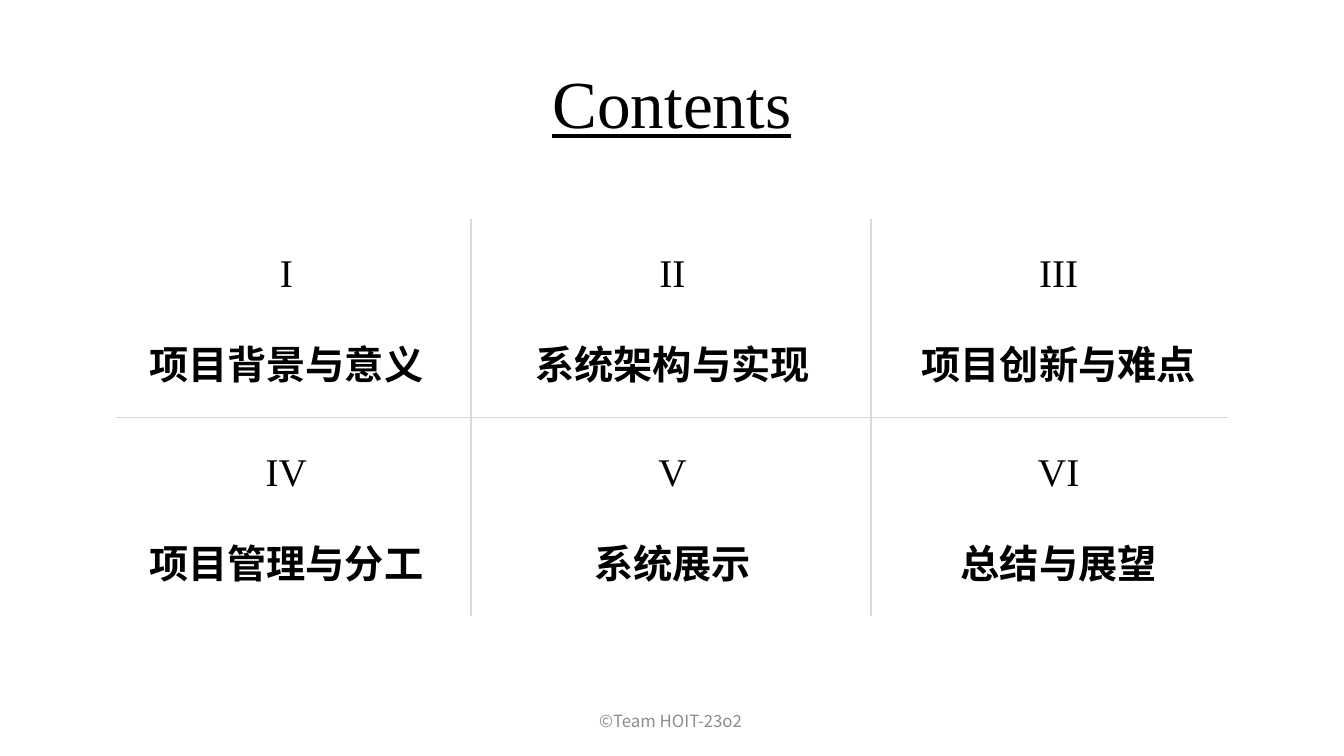
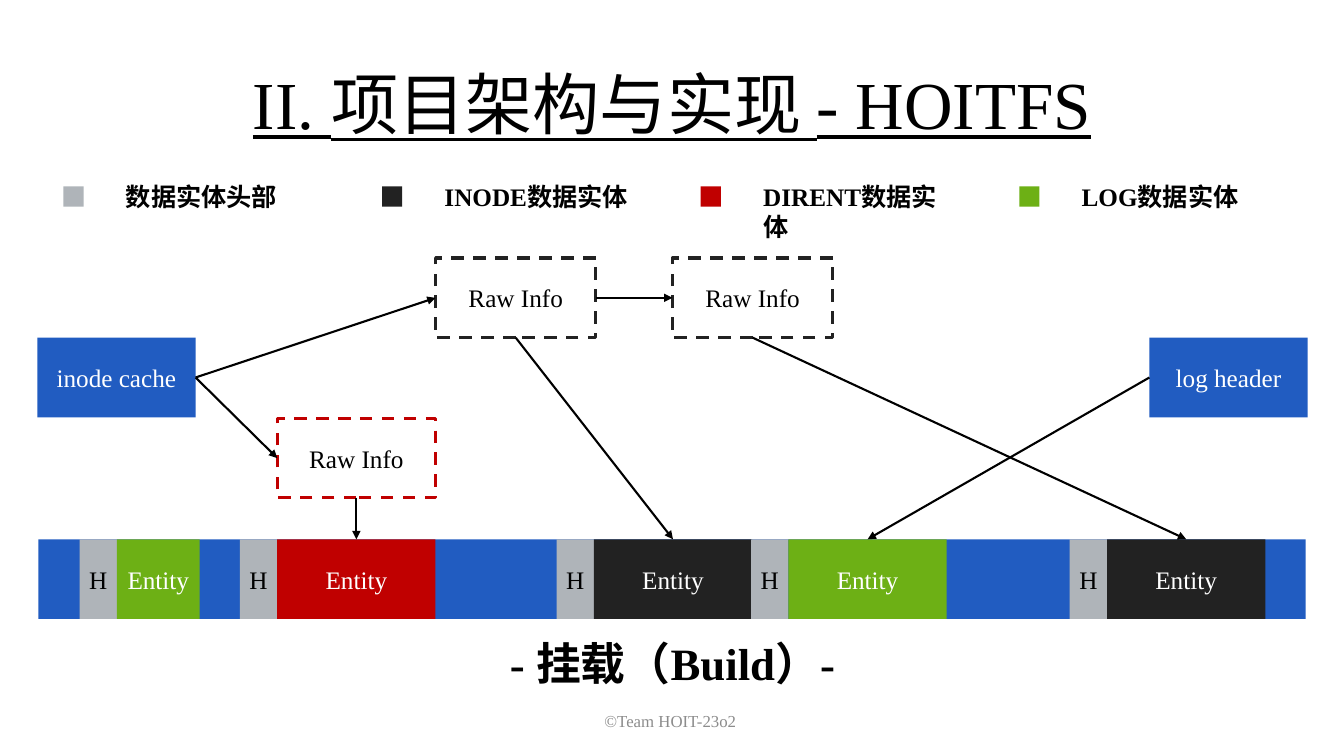
"""Build the contents slide and the HOITFS mount diagram slide."""
from lxml.etree import SubElement
from pptx import Presentation
from pptx.dml.color import RGBColor
from pptx.enum.dml import MSO_LINE_DASH_STYLE as Dash
from pptx.enum.shapes import MSO_CONNECTOR as Connector, MSO_SHAPE as Shape
from pptx.enum.text import MSO_ANCHOR as Anchor, MSO_AUTO_SIZE as AutoSize, PP_ALIGN as Align
from pptx.oxml.ns import qn
from pptx.util import Inches, Pt

BLACK = RGBColor(0x00, 0x00, 0x00)
WHITE = RGBColor(0xFF, 0xFF, 0xFF)
BLUE = RGBColor(0x21, 0x5C, 0xC1)
RED = RGBColor(0xC0, 0x00, 0x00)
GREEN = RGBColor(0x6D, 0xB0, 0x15)
DARK = RGBColor(0x22, 0x22, 0x22)
SILVER = RGBColor(0xAF, 0xB4, 0xB9)
FOOTER_GRAY = RGBColor(0x8C, 0x8C, 0x8C)
RULE_GRAY = RGBColor(0xD9, 0xD9, 0xD9)

SERIF = "Times New Roman"
SANS = "Noto Sans CJK SC"

TITLE = {"size": Pt(48), "underline": True, "bold": False}
FOOTER = {"size": Pt(12)}
NUMERAL = {"size": Pt(28)}
SECTION = {"size": Pt(28), "bold": True}
LEGEND = {"size": Pt(18), "bold": True}
CAPTION = {"size": Pt(32), "bold": True}
LABEL = {"size": Pt(18)}

FOOTER_TEXT = "©Team HOIT-23o2 "
SECTIONS = [
    ("I", "项目背景与意义"), ("II", "系统架构与实现"), ("III", "项目创新与难点"),
    ("IV", "项目管理与分工"), ("V", "系统展示"), ("VI", "总结与展望"),
]
CONTENTS_RULES = [
    ((1.15, 4.14), (12.18, 4.14)),
    ((4.67, 2.17), (4.67, 6.11)),
    ((8.64, 2.17), (8.64, 6.11)),
]

LEGEND_ITEMS = [
    (SILVER, "数据实体头部"), (DARK, "INODE数据实体"),
    (RED, "DIRENT数据实体"), (GREEN, "LOG数据实体"),
]
BOX_WIDTH, BOX_HEIGHT = 1.57, 0.79
HEADER_WIDTH = 0.37
STRIP_TOP = 5.35
ENTITIES = {
    "log short": (0.79, 0.82, GREEN),
    "dirent": (2.38, BOX_WIDTH, RED),
    "inode first": (5.52, BOX_WIDTH, DARK),
    "log": (7.45, BOX_WIDTH, GREEN),
    "inode second": (10.61, BOX_WIDTH, DARK),
}
CACHES = {"inode cache": (0.37, 3.35), "log header": (11.4, 3.35)}
RAW_INFOS = {
    "raw dirent": (2.75, 4.15, BOX_WIDTH, RED),
    "raw first": (4.32, 2.56, 1.59, DARK),
    "raw second": (6.67, 2.56, 1.59, DARK),
}
TOP, LEFT, BOTTOM, RIGHT = range(4)
ARROWS = [
    ("raw dirent", BOTTOM, "dirent", TOP),
    ("inode cache", RIGHT, "raw dirent", LEFT),
    ("inode cache", RIGHT, "raw first", LEFT),
    ("raw first", BOTTOM, "inode first", TOP),
    ("raw second", BOTTOM, "inode second", TOP),
    ("raw first", RIGHT, "raw second", LEFT),
    ("log header", LEFT, "log", TOP),
]


def write(paragraph, text, style, color=BLACK, font=SERIF, align=Align.CENTER):
    paragraph.alignment = align
    run = paragraph.add_run()
    run.text = text
    for name, value in {"name": font, **style}.items():
        setattr(run.font, name, value)
    run.font.color.rgb = color
    SubElement(run.font._element, qn("a:ea"), typeface=SANS)


def add_text(slide, box, text, style, anchor=Anchor.TOP, **options):
    frame = slide.shapes.add_textbox(*map(Inches, box)).text_frame
    frame.word_wrap = True
    frame.vertical_anchor = anchor
    write(frame.paragraphs[0], text, style, **options)
    return frame


def add_box(slide, box, fill=None, text=None, color=WHITE, border=None):
    shape = slide.shapes.add_shape(Shape.RECTANGLE, *map(Inches, box))
    shape.shadow.inherit = False
    if fill is None:
        shape.fill.background()
    else:
        shape.fill.solid()
        shape.fill.fore_color.rgb = fill
    if border is None:
        shape.line.fill.background()
    else:
        shape.line.color.rgb = border
        shape.line.width = Pt(2.25)
        shape.line.dash_style = Dash.DASH
    if text:
        frame = shape.text_frame
        frame.margin_left = frame.margin_right = 0
        frame.vertical_anchor = Anchor.MIDDLE
        write(frame.paragraphs[0], text, LABEL, color)
    return shape


def add_line(slide, start, end, color, width):
    line = slide.shapes.add_connector(Connector.STRAIGHT, *map(Inches, start + end))
    line.line.color.rgb = color
    line.line.width = Pt(width)
    SubElement(line._element.spPr, qn("a:effectLst"))
    return line


def add_arrow(slide, source, source_site, target, target_site):
    arrow = add_line(slide, (0, 0), (1, 1), BLACK, 1.5)
    arrow.begin_connect(source, source_site)
    arrow.end_connect(target, target_site)
    SubElement(arrow.line._get_or_add_ln(), qn("a:tailEnd"), type="triangle")


def add_slide(presentation, title_text, title_box, footer_font):
    slide = presentation.slides.add_slide(presentation.slide_layouts[5])
    title = slide.shapes.title
    title.left, title.top, title.width, title.height = map(Inches, title_box)
    frame = title.text_frame
    frame.auto_size = AutoSize.NONE
    frame.vertical_anchor = Anchor.TOP
    write(frame.paragraphs[0], title_text, TITLE)
    add_text(slide, (4.42, 6.95, 4.5, 0.4), FOOTER_TEXT, FOOTER, Anchor.MIDDLE,
             color=FOOTER_GRAY, font=footer_font)
    return slide


def build_contents(presentation):
    slide = add_slide(presentation, "Contents", (4.76, 0.56, 3.81, 0.91), SANS)
    for start, end in CONTENTS_RULES:
        add_line(slide, start, end, RULE_GRAY, 1)
    for index, (numeral, section) in enumerate(SECTIONS):
        row, column = divmod(index, 3)
        box = (1.26 + 3.83 * column, 2.17 + 1.97 * row, 3.16, 1.97)
        frame = add_text(slide, box, numeral, NUMERAL, Anchor.MIDDLE)
        paragraph = frame.add_paragraph()
        paragraph.space_before = Pt(32)
        write(paragraph, section, SECTION)


def build_mount(presentation):
    slide = add_slide(presentation, "II. 项目架构与实现 - HOITFS",
                      (1.28, 0.57, 10.77, 0.91), SERIF)
    add_text(slide, (2.88, 6.26, 7.58, 0.64), "- 挂载（Build）-", CAPTION)
    for index, (color, text) in enumerate(LEGEND_ITEMS):
        left = 0.63 + 3.16 * index
        add_box(slide, (left, 1.85, 0.2, 0.2), color)
        add_text(slide, (left + 0.52, 1.75, 2.09, 0.4), text, LEGEND, align=Align.LEFT)

    add_box(slide, (0.38, STRIP_TOP, 12.57, BOX_HEIGHT), BLUE)
    nodes = {}
    for name, (left, width, color) in ENTITIES.items():
        add_box(slide, (left, STRIP_TOP, HEADER_WIDTH, BOX_HEIGHT), SILVER, "H", BLACK)
        box = (left + HEADER_WIDTH, STRIP_TOP, width, BOX_HEIGHT)
        nodes[name] = add_box(slide, box, color, "Entity")
    for name, (left, top) in CACHES.items():
        nodes[name] = add_box(slide, (left, top, BOX_WIDTH, BOX_HEIGHT), BLUE, name)
    for name, (left, top, width, color) in RAW_INFOS.items():
        nodes[name] = add_box(slide, (left, top, width, BOX_HEIGHT), None,
                              "Raw Info", BLACK, color)
    for source, source_site, target, target_site in ARROWS:
        add_arrow(slide, nodes[source], source_site, nodes[target], target_site)


def main():
    presentation = Presentation()
    presentation.slide_width = Inches(13.33)
    presentation.slide_height = Inches(7.5)
    build_contents(presentation)
    build_mount(presentation)
    presentation.save("out.pptx")


if __name__ == "__main__":
    main()
